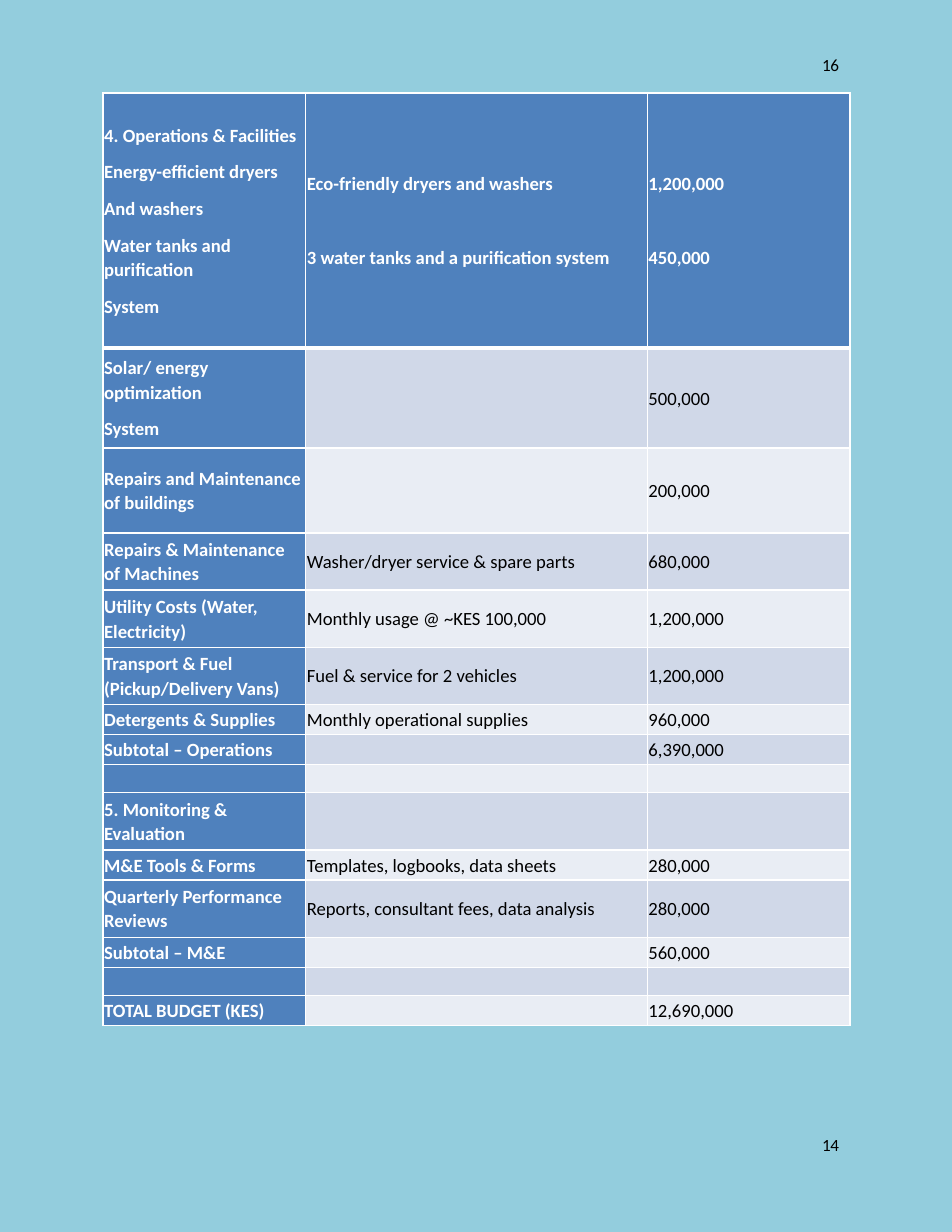
from dataclasses import dataclass

from lxml.etree import SubElement
from pptx import Presentation
from pptx.dml.color import RGBColor
from pptx.enum.text import MSO_ANCHOR as Anchor, MSO_AUTO_SIZE as AutoSize
from pptx.oxml import parse_xml
from pptx.oxml.ns import nsdecls, qn
from pptx.util import Inches, Pt

SKY = RGBColor(0x93, 0xCD, 0xDD)
BLUE = RGBColor(0x4F, 0x81, 0xBD)
BAND_DARK = RGBColor(0xD0, 0xD8, 0xE8)
BAND_LIGHT = RGBColor(0xE9, 0xED, 0xF4)
WHITE = RGBColor(0xFF, 0xFF, 0xFF)
BLACK = RGBColor(0, 0, 0)

FONT = "Calibri"
CELL_MARGIN = Inches(0.01)
COLUMN_WIDTHS = (1.81, 3.05, 1.81)
TALL, DOUBLE, SINGLE, GAP = 2.28, 0.51, 0.27, 0.25  # row heights, inches


@dataclass(frozen=True)
class BudgetRow:
    height: float
    item: str = ""
    detail: str = ""
    amount: str = ""


@dataclass(frozen=True)
class PageNumber:
    text: str
    top: float
    height: float
    line_spacing: float | Pt


BUDGET = (
    BudgetRow(
        TALL,
        "4. Operations & Facilities\nEnergy-efficient dryers\nAnd washers\n"
        "Water tanks and purification\nSystem",
        "Eco-friendly dryers and washers\n3 water tanks and a purification system",
        "1,200,000\n450,000",
    ),
    BudgetRow(0.89, "Solar/ energy optimization\nSystem", amount="500,000"),
    BudgetRow(0.76, "Repairs and Maintenance of buildings", amount="200,000"),
    BudgetRow(DOUBLE, "Repairs & Maintenance of Machines",
              "Washer/dryer service & spare parts", "680,000"),
    BudgetRow(DOUBLE, "Utility Costs (Water, Electricity)",
              "Monthly usage @ ~KES 100,000", "1,200,000"),
    BudgetRow(DOUBLE, "Transport & Fuel (Pickup/Delivery Vans)",
              "Fuel & service for 2 vehicles", "1,200,000"),
    BudgetRow(SINGLE, "Detergents & Supplies", "Monthly operational supplies", "960,000"),
    BudgetRow(SINGLE, "Subtotal – Operations", amount="6,390,000"),
    BudgetRow(GAP),
    BudgetRow(DOUBLE, "5. Monitoring & Evaluation"),
    BudgetRow(SINGLE, "M&E Tools & Forms", "Templates, logbooks, data sheets", "280,000"),
    BudgetRow(DOUBLE, "Quarterly Performance Reviews",
              "Reports, consultant fees, data analysis", "280,000"),
    BudgetRow(SINGLE, "Subtotal – M&E", amount="560,000"),
    BudgetRow(GAP),
    BudgetRow(SINGLE, "TOTAL BUDGET (KES)", amount="12,690,000"),
)

PAGE_NUMBERS = (
    PageNumber("14", 10.14, 0.18, Pt(11.5)),
    PageNumber("16", 0.48, 0.21, 1.0),
)


def write_text(frame, text: str, *, size: float = 12, color: RGBColor = BLACK,
               bold: bool = False, line_spacing=1.07, space_after: float = 0,
               space_before: float = 0, tracking: int = 0) -> None:
    """Write one paragraph per line; space_before skips the first paragraph."""
    for index, line in enumerate(text.split("\n")):
        paragraph = frame.paragraphs[0] if index == 0 else frame.add_paragraph()
        paragraph.line_spacing = line_spacing
        paragraph.space_after = Pt(space_after)
        if index and space_before:
            paragraph.space_before = Pt(space_before)
        if not line:
            SubElement(paragraph._p, qn("a:endParaRPr"), sz=str(int(size * 100)))
            continue
        run = paragraph.add_run()
        run.text = line
        run.font.name = FONT
        run.font.size = Pt(size)
        run.font.bold = bold
        run.font.color.rgb = color
        if tracking:
            run._r.get_or_add_rPr().set("spc", str(tracking))


def set_borders(cell, **widths: float) -> None:
    """Draw white borders; widths in points, keyed by side L, R, T, B."""
    properties = cell._tc.get_or_add_tcPr()
    for index, side in enumerate("LRTB"):
        width = Pt(widths.get(side, 1))
        properties.insert(index, parse_xml(
            f'<a:ln{side} {nsdecls("a")} w="{width}"><a:solidFill>'
            f'<a:srgbClr val="{WHITE}"/></a:solidFill></a:ln{side}>'))


def add_budget_table(slide) -> None:
    height = sum(row.height for row in BUDGET)
    table = slide.shapes.add_table(
        len(BUDGET), len(COLUMN_WIDTHS), Inches(0.92), Inches(0.83),
        Inches(sum(COLUMN_WIDTHS)), Inches(height)).table
    for column, width in zip(table.columns, COLUMN_WIDTHS):
        column.width = Inches(width)
    for row_index, row in enumerate(BUDGET):
        table.rows[row_index].height = Inches(row.height)
        band = BAND_DARK if row_index % 2 else BAND_LIGHT
        for column_index, text in enumerate((row.item, row.detail, row.amount)):
            cell = table.cell(row_index, column_index)
            heading = row_index == 0 or column_index == 0
            cell.fill.solid()
            cell.fill.fore_color.rgb = BLUE if heading else band
            cell.vertical_anchor = Anchor.MIDDLE
            cell.margin_left = cell.margin_right = CELL_MARGIN
            cell.margin_top = cell.margin_bottom = CELL_MARGIN
            set_borders(cell, T=3 if row_index == 1 else 1, B=3 if row_index == 0 else 1)
            write_text(cell.text_frame, text, bold=heading,
                       color=WHITE if heading else BLACK, space_after=8,
                       space_before=24 if row_index == 0 and column_index else 0)


def add_page_number(slide, number: PageNumber) -> None:
    box = slide.shapes.add_textbox(Inches(7.33), Inches(number.top),
                                   Inches(0.23), Inches(number.height))
    frame = box.text_frame
    frame.word_wrap = True
    frame.auto_size = AutoSize.SHAPE_TO_FIT_TEXT
    frame.margin_left = frame.margin_top = Inches(0.01)
    frame.margin_right = frame.margin_bottom = 0
    write_text(frame, number.text, size=11, line_spacing=number.line_spacing, tracking=-20)


def main() -> None:
    presentation = Presentation()
    presentation.slide_width, presentation.slide_height = Inches(8.5), Inches(11)
    slide = presentation.slides.add_slide(presentation.slide_layouts.get_by_name("Blank"))
    slide.background.fill.solid()
    slide.background.fill.fore_color.rgb = SKY
    for number in PAGE_NUMBERS:
        add_page_number(slide, number)
    add_budget_table(slide)
    presentation.save("out.pptx")


if __name__ == "__main__":
    main()
